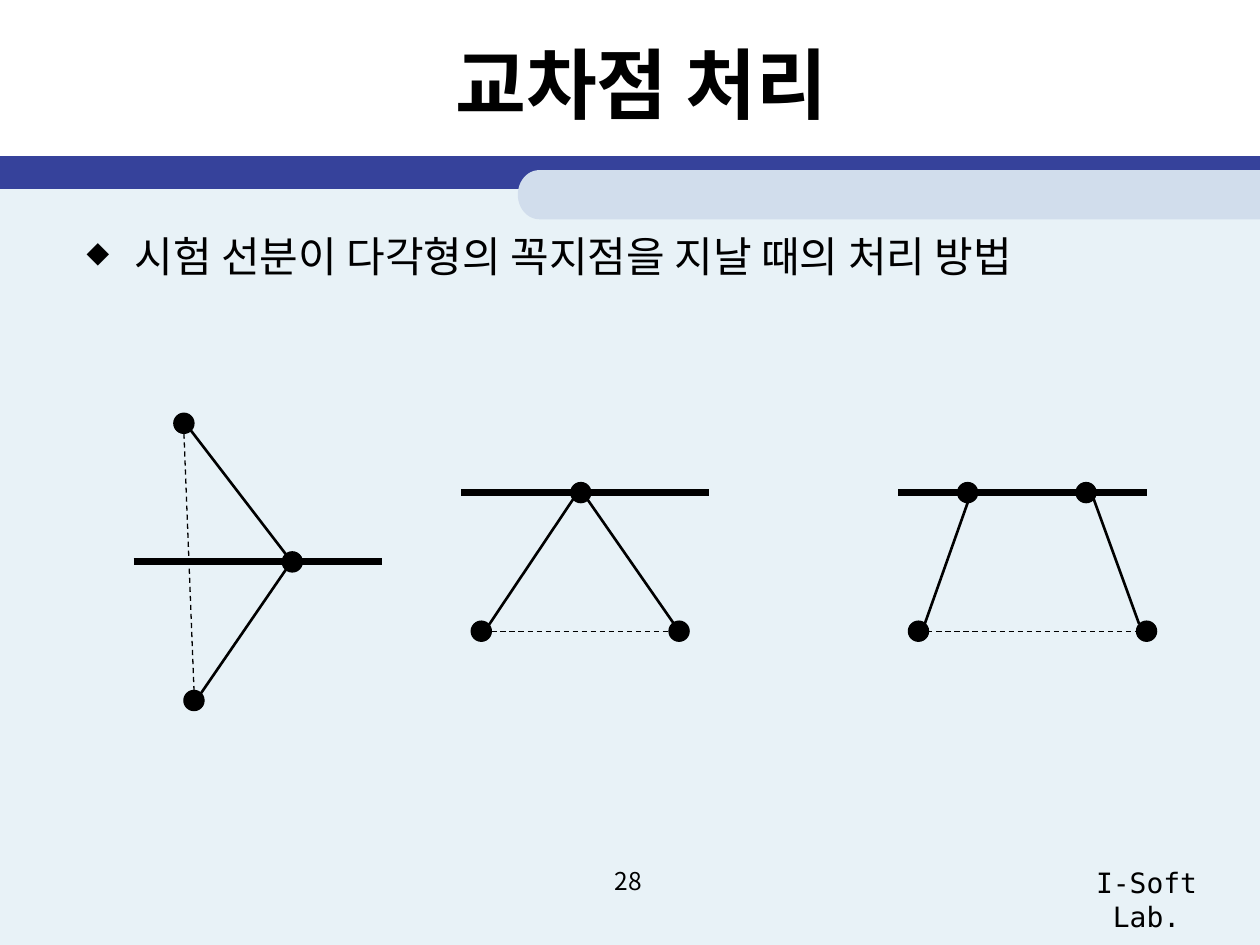
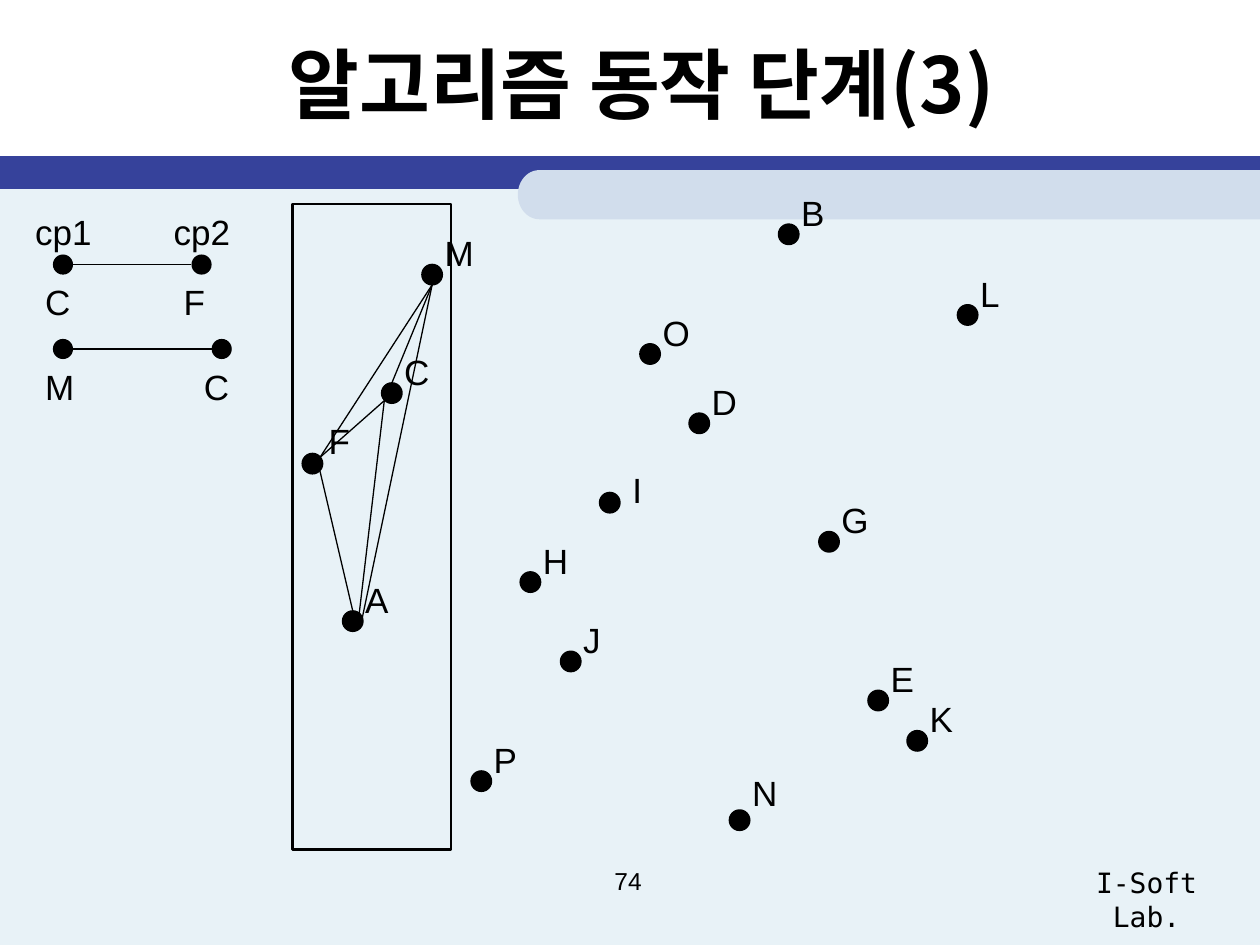
from math import cos, pi, sin

from lxml import etree
from pptx import Presentation
from pptx import util as u
from pptx.dml.color import RGBColor
from pptx.enum import dml, shapes, text
from pptx.oxml.ns import qn

In = u.Inches
INK, PANEL, BAND, TAB = "000000", "E8F2F7", "36429B", "D1DDEC"
KOREAN, LATIN, MONO = "Noto Sans CJK KR", "Arial", "DejaVu Sans Mono"
CENTER = text.PP_ALIGN.CENTER
DOT = 0.16


def color(hex_code):
    return RGBColor.from_string(hex_code)


def style(sp, fill=None, line=None, width=0.75):
    sp.shadow.inherit = False
    if fill:
        sp.fill.solid()
        sp.fill.fore_color.rgb = color(fill)
    else:
        sp.fill.background()
    if line:
        sp.line.color.rgb = color(line)
        sp.line.width = u.Pt(width)
    else:
        sp.line.fill.background()


def add_box(s, kind, x, y, w, h, **fmt):
    sp = s.shapes.add_shape(kind, In(x), In(y), In(w), In(h))
    style(sp, **fmt)
    return sp


def add_text(s, words, x, y, w, h, size=20, font=LATIN, bold=False,
             align=text.PP_ALIGN.LEFT, anchor=text.MSO_ANCHOR.TOP, bullet=None):
    tf = s.shapes.add_textbox(In(x), In(y), In(w), In(h)).text_frame
    tf.word_wrap = True
    tf.vertical_anchor = anchor
    p = tf.paragraphs[0]
    p.alignment = align
    if bullet:
        pPr = p._p.get_or_add_pPr()
        pPr.set("marL", str(In(0.38)))
        pPr.set("indent", str(-In(0.38)))
        bu_color = etree.SubElement(pPr, qn("a:buClr"))
        etree.SubElement(bu_color, qn("a:srgbClr"), val=INK)
        etree.SubElement(pPr, qn("a:buSzPct"), val="70000")
        etree.SubElement(pPr, qn("a:buChar"), char=bullet)
    r = p.add_run()
    r.text = words
    r.font.size, r.font.name, r.font.bold = u.Pt(size), font, bold
    r.font.color.rgb = color(INK)
    etree.SubElement(r._r.get_or_add_rPr(), qn("a:ea"), typeface=font)


def add_line(s, start, end, width=0.75, dashed=False):
    cn = s.shapes.add_connector(shapes.MSO_CONNECTOR.STRAIGHT,
                                *(In(v) for v in (*start, *end)))
    cn.line.color.rgb = color(INK)
    cn.line.width = u.Pt(width)
    if dashed:
        cn.line.dash_style = dml.MSO_LINE.DASH
    etree.SubElement(cn._element.spPr, qn("a:effectLst"))


def add_dot(s, x, y, line=INK, width=0.75):
    """Dot centred on x, y."""
    add_box(s, shapes.MSO_SHAPE.OVAL, x - DOT / 2, y - DOT / 2, DOT, DOT,
            fill=INK, line=line, width=width)


def add_tab(s, x, y, w, h, rx=0.17):
    """Bar with a rounded left end."""
    ry, steps = h / 2, 24
    arc = [(x + rx - rx * sin(pi * i / steps), y + ry - ry * cos(pi * i / steps))
           for i in range(steps + 1)]
    fb = s.shapes.build_freeform(In(x + w), In(y))
    fb.add_line_segments([(In(a), In(b)) for a, b in arc + [(x + w, y + h)]])
    style(fb.convert_to_shape(), fill=TAB)


def new_slide(prs, title, number, number_font):
    s = prs.slides.add_slide(prs.slide_layouts[6])
    # Background and bands
    add_box(s, shapes.MSO_SHAPE.RECTANGLE, 0, 1.4, 10, 6.1, fill=PANEL)
    add_box(s, shapes.MSO_SHAPE.RECTANGLE, 0, 1.24, 10, 0.26, fill=BAND)
    add_tab(s, 4.11, 1.35, 5.89, 0.39)
    # Footer
    add_text(s, "I-Soft Lab.", 8.31, 6.82, 1.58, 0.37, size=16, font=MONO, align=CENTER)
    add_text(s, number, 3.82, 6.82, 2.33, 0.52, size=14, font=number_font, align=CENTER)
    # Title
    add_text(s, title, 0.59, 0.08, 9, 1.15, size=44, font=KOREAN, bold=True,
             align=CENTER, anchor=text.MSO_ANCHOR.MIDDLE)
    return s


def crossing_case(s, x, y, vertices, edges, hidden_edge):
    """Polygon corner met by a test line that starts at x, y."""
    def at(pt):
        return x + pt[0], y + pt[1]

    for a, b in edges:
        add_line(s, at(a), at(b), width=1.5)
    add_line(s, (x, y), (x + 1.97, y), width=4)
    add_line(s, *map(at, hidden_edge), dashed=True)
    for v in vertices:
        add_dot(s, *at(v))


def crossing_slide(prs):
    s = new_slide(prs, "교차점 처리", "28", KOREAN)
    add_text(s, "시험 선분이 다각형의 꼭지점을 지날 때의 처리 방법",
             0.59, 1.78, 9.06, 4.95, size=24, font=KOREAN, bullet="◆")
    # Edges on both sides of the test line
    crossing_case(s, 1.06, 4.46, [(0.4, -1.1), (1.26, 0), (0.48, 1.1)],
                  [((0.45, -1.05), (1.21, -0.06)), ((1.21, 0.06), (0.53, 1.05))],
                  ((0.4, -1.02), (0.48, 1.02)))
    # Both edges below the test line
    crossing_case(s, 3.66, 3.91, [(0.95, 0), (0.16, 1.1), (1.73, 1.1)],
                  [((0.89, 0.05), (0.22, 1.05)), ((1, 0.05), (1.73, 1.1))],
                  ((0.24, 1.1), (1.65, 1.1)))
    # One edge along the test line
    crossing_case(s, 7.13, 3.91, [(0.55, 0), (1.49, 0), (0.16, 1.1), (1.97, 1.1)],
                  [((0.55, 0.08), (0.21, 1.04)), ((1.55, 0.05), (1.91, 1.04))],
                  ((0.23, 1.1), (1.89, 1.1)))


POINTS = {
    "A": (2.8, 4.93), "B": (6.26, 1.86), "C": (3.11, 3.12), "D": (5.55, 3.36),
    "E": (6.97, 5.56), "F": (2.48, 3.68), "G": (6.58, 4.3), "H": (4.21, 4.62),
    "I": (4.84, 3.99), "J": (4.53, 5.25), "K": (7.28, 5.88), "L": (7.68, 2.5),
    "M": (3.43, 2.18), "N": (5.87, 6.51), "O": (5.16, 2.81), "P": (3.82, 6.2),
}
LABEL_SHIFT = {"F": (0.03, -0.4), "I": (0.08, -0.32), "N": (0, -0.44)}


def point_cloud(s):
    for name, (x, y) in POINTS.items():
        dx, dy = LABEL_SHIFT.get(name, (0, -0.39))
        add_dot(s, x, y, width=1)
        add_text(s, name, x + dx, y + dy, 0.45, 0.44)


def search_window(s, x, y, w, h):
    """Frame with the distances compared inside it."""
    add_box(s, shapes.MSO_SHAPE.RECTANGLE, x, y, w, h, line=INK, width=1.5)
    m_end, c_end, f_end = (1.11, 0.64), (0.73, 1.56), (0.22, 2.01)
    for a, b in [(m_end, (0.79, 1.42)), (m_end, (0.55, 3.31)), (m_end, f_end),
                 ((0.48, 3.23), (0.22, 2.12)), (c_end, f_end), (c_end, (0.53, 3.26))]:
        add_line(s, (x + a[0], y + a[1]), (x + b[0], y + b[1]))


def closest_pair(s, x, y, length, names):
    """Two dots whose centres are a given length apart, named below."""
    add_line(s, (x + DOT / 2, y), (x + length - DOT / 2, y))
    for dot_x, name in zip((x, x + length), names):
        add_dot(s, dot_x, y, line=None)
        add_text(s, name, dot_x - 0.24, y + 0.08, 0.45, 0.44)


def algorithm_slide(prs):
    s = new_slide(prs, "알고리즘 동작 단계(3)", "74", LATIN)
    point_cloud(s)
    search_window(s, 2.32, 1.62, 1.26, 5.12)
    # Closest pairs so far
    for i, name in enumerate(("cp1", "cp2")):
        add_text(s, name, 0.18 + 1.1 * i, 1.62, 0.75, 0.44)
    closest_pair(s, 0.5, 2.1, 1.1, "CF")
    closest_pair(s, 0.5, 2.77, 1.26, "MC")


def main():
    prs = Presentation()
    prs.slide_width, prs.slide_height = In(10), In(7.5)
    crossing_slide(prs)
    algorithm_slide(prs)
    prs.save("out.pptx")


if __name__ == "__main__":
    main()
